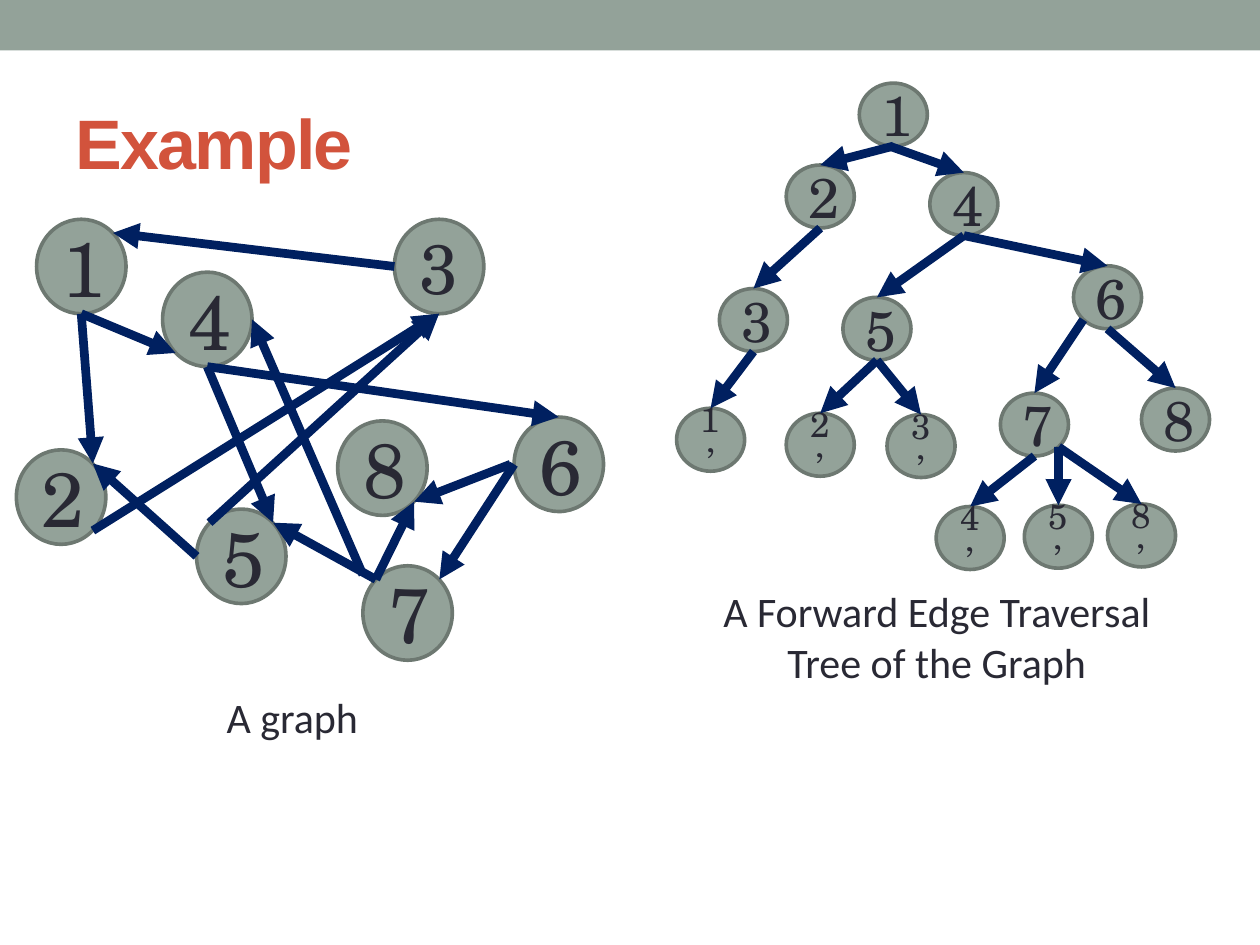
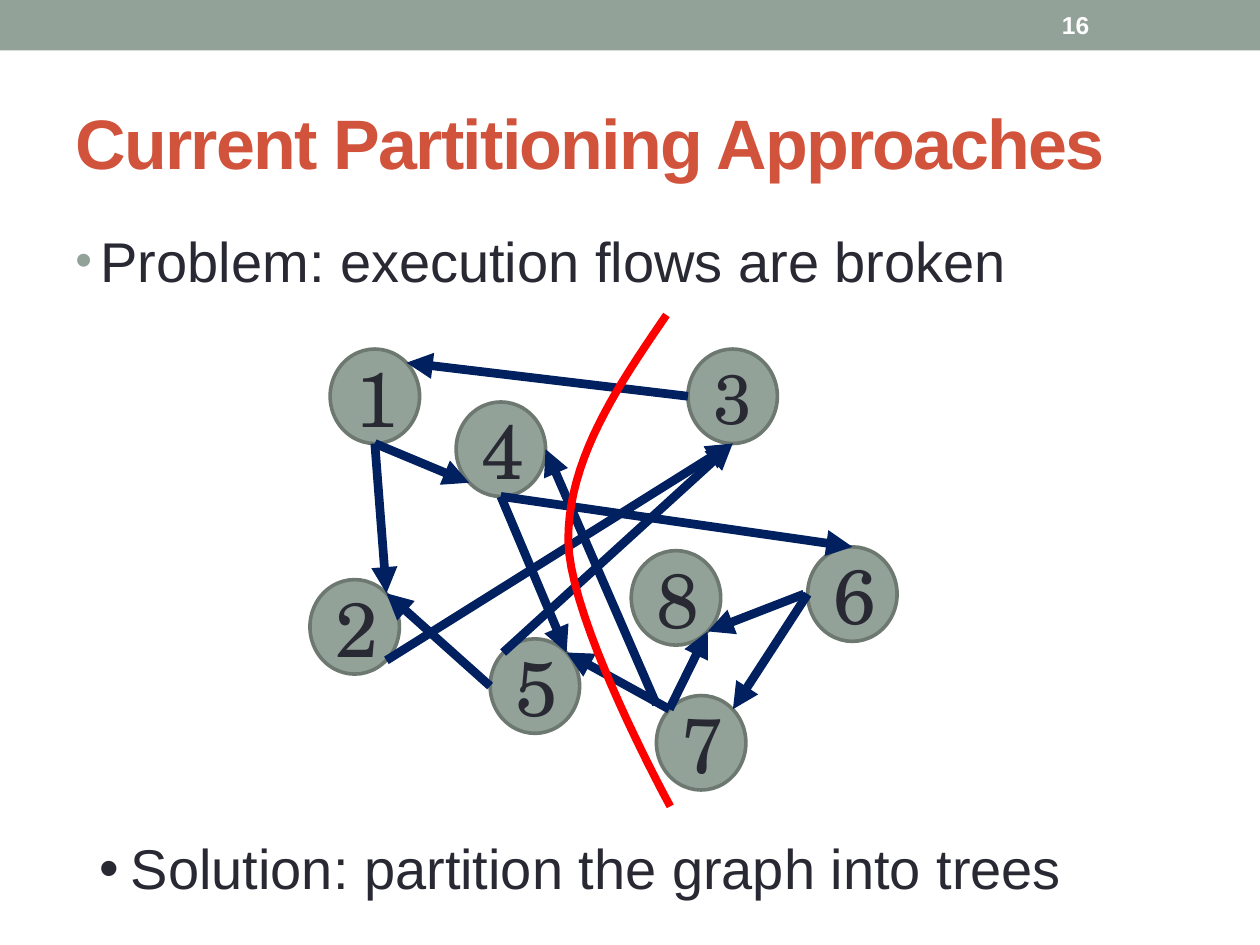
from math import comb

from lxml.etree import SubElement
from pptx import Presentation
from pptx.dml.color import RGBColor
from pptx.enum.shapes import MSO_CONNECTOR, MSO_SHAPE
from pptx.enum.text import MSO_ANCHOR, MSO_AUTO_SIZE, PP_ALIGN
from pptx.oxml.ns import qn
from pptx.util import Inches, Pt

SAGE, SAGE_DARK, INK = "93A299", "6D7871", "292934"
NAVY, RUST, RED, WHITE = "002060", "D2533C", "FF0000", "FFFFFF"
DIAGONAL = 0.71
SITES = {
    "top": (0, -1), "bottom": (0, 1), "left": (-1, 0), "right": (1, 0),
    "top left": (-DIAGONAL, -DIAGONAL), "top right": (DIAGONAL, -DIAGONAL),
    "bottom left": (-DIAGONAL, DIAGONAL), "bottom right": (DIAGONAL, DIAGONAL),
    "left outside": (-1.08, 0), "left upper": (-1, -0.81), "bottom inner": (-0.11, 1),
}


def paint(fill, colour):
    fill.solid()
    fill.fore_color.rgb = RGBColor.from_string(colour)


def draw_graph(shapes, nodes, edges, width, height, size, dx=0, dy=0):
    circles = {}
    for label, (left, top) in nodes.items():
        circle = shapes.add_shape(MSO_SHAPE.OVAL, Inches(left + dx), Inches(top + dy),
                                  Inches(width), Inches(height))
        circle.shadow.inherit = False
        paint(circle.fill, SAGE)
        paint(circle.line.fill, SAGE_DARK)
        circle.line.width = Pt(2.08)
        circle.text_frame.text = label
        circle.text_frame.vertical_anchor = MSO_ANCHOR.MIDDLE
        para = circle.text_frame.paragraphs[0]
        para.alignment = PP_ALIGN.CENTER
        para.font.name = "TeX Gyre Schola"
        para.font.size = Pt(20 if label.endswith("’") else size)
        paint(para.font.fill, INK)
        circles[label] = circle
    for start, start_site, end, end_site in edges:
        ends = []
        for label, site in ((start, start_site), (end, end_site)):
            left, top = nodes[label]
            across, down = SITES[site]
            ends += [Inches(left + dx + width / 2 * (1 + across)),
                     Inches(top + dy + height / 2 * (1 + down))]
        arrow = shapes.add_connector(MSO_CONNECTOR.STRAIGHT, *ends)
        paint(arrow.line.fill, NAVY)
        arrow.line.width = Pt(5)
        SubElement(arrow.line._get_or_add_ln(), qn("a:tailEnd"), type="triangle")
        SubElement(arrow._element.spPr, qn("a:effectLst"))
    return circles


deck = Presentation()
deck.slide_width, deck.slide_height = Inches(10), Inches(7.5)
pages = []
for heading in ("Example", "Current Partitioning Approaches"):
    page = deck.slides.add_slide(deck.slide_layouts[5])
    title = page.shapes.title
    title.left, title.top, title.width, title.height = map(Inches, (0.5, 0.58, 9, 1.08))
    title.text_frame.text = heading
    title.text_frame.auto_size = MSO_AUTO_SIZE.NONE
    title.text_frame.vertical_anchor = MSO_ANCHOR.MIDDLE
    para = title.text_frame.paragraphs[0]
    para.alignment = PP_ALIGN.LEFT
    para.font.name, para.font.size, para.font.bold = "Arial", Pt(40), True
    paint(para.font.fill, RUST)
    para.runs[0].font._element.set("spc", "-100")
    pages.append(page)
example, approaches = pages

band = example.shapes.add_shape(MSO_SHAPE.RECTANGLE, 0, 0, deck.slide_width, Inches(0.4))
band.shadow.inherit = False
paint(band.fill, SAGE)
band.line.fill.background()
deck.slide_master.shapes._spTree.insert(2, band._element)

graph_nodes = {
    "1": (0.29, 1.74), "3": (3.13, 1.74), "4": (1.29, 2.16), "2": (0.13, 3.57),
    "5": (1.56, 4.04), "8": (2.68, 3.34), "7": (2.88, 4.49), "6": (4.08, 3.31),
}
graph_edges = [
    ("1", "bottom", "4", "bottom left"),
    ("1", "bottom", "2", "top right"),
    ("2", "bottom right", "3", "bottom"),
    ("3", "left", "1", "top right"),
    ("4", "bottom", "5", "top right"),
    ("4", "bottom", "6", "top"),
    ("6", "left outside", "8", "bottom right"),
    ("6", "left", "7", "top right"),
    ("7", "top left", "8", "bottom right"),
    ("7", "left upper", "4", "right"),
    ("7", "top left", "5", "top right"),
    ("5", "left", "2", "top right"),
    ("5", "top left", "3", "bottom"),
]
tree_nodes = {
    "1": (6.82, 0.66), "3": (5.71, 2.29), "4": (7.38, 1.37), "2": (6.24, 1.31),
    "5": (6.69, 2.36), "8": (9.06, 3.08), "7": (7.94, 3.12), "6": (8.52, 2.11),
    "1’": (5.37, 3.24), "2’": (6.24, 3.28), "3’": (7.04, 3.29),
    "4’": (7.43, 4.02), "5’": (8.13, 4.01), "8’": (8.79, 4),
}
tree_edges = [
    ("1", "bottom inner", "4", "top"),
    ("1", "bottom", "2", "top"),
    ("2", "bottom", "3", "top"),
    ("3", "bottom", "1’", "top"),
    ("4", "bottom", "5", "top"),
    ("4", "bottom", "6", "top"),
    ("6", "bottom", "8", "top"),
    ("7", "bottom right", "8’", "top"),
    ("6", "bottom left", "7", "top"),
    ("7", "bottom", "4’", "top"),
    ("7", "bottom right", "5’", "top"),
    ("5", "bottom", "2’", "top"),
    ("5", "bottom", "3’", "top"),
]

for page, dx, dy in ((example, 0, 0), (approaches, 2.33, 1.03)):
    circles = draw_graph(page.shapes, graph_nodes, graph_edges, 0.71, 0.75, 44, dx, dy)
    circles["3"].text_frame.paragraphs[0].font.size = Pt(40)
tree = example.shapes.add_group_shape()
draw_graph(tree.shapes, tree_nodes, tree_edges, 0.54, 0.5, 32)

for caption, place in (
    ("A Forward Edge Traversal Tree of the Graph", (5.39, 4.6, 4.09, 0.91)),
    ("A graph", (1.25, 5.44, 2.14, 0.5)),
):
    box = example.shapes.add_textbox(*map(Inches, place))
    box.text_frame.word_wrap = True
    box.text_frame.auto_size = MSO_AUTO_SIZE.SHAPE_TO_FIT_TEXT
    box.text_frame.text = caption
    para = box.text_frame.paragraphs[0]
    para.alignment = PP_ALIGN.CENTER
    para.font.name, para.font.size = "Calibri", Pt(24)
    paint(para.font.fill, INK)

for point, place, indent, before, spacing, bullet_colour, bullet_size in (
    ("Problem: execution flows are broken", (0.5, 1.75, 9, 5.33), 0.2, 6.4, 1, SAGE, 85),
    ("Solution: partition the graph into trees", (0.69, 6.63, 8.62, 0.52), 0.25, 10, 0.9, INK, 100),
):
    box = approaches.shapes.add_textbox(*map(Inches, place))
    box.text_frame.word_wrap = True
    box.text_frame.text = point
    para = box.text_frame.paragraphs[0]
    para.space_before, para.line_spacing = Pt(before), spacing
    para.font.name, para.font.size = "Arial", Pt(32)
    paint(para.font.fill, INK)
    properties = para._p.get_or_add_pPr()
    properties.set("marL", str(Inches(indent)))
    properties.set("indent", str(-Inches(indent)))
    marks = [SubElement(properties, qn("a:buClr")),
             SubElement(properties, qn("a:buSzPct"), val=str(bullet_size * 1000)),
             SubElement(properties, qn("a:buFont"), typeface="Arial"),
             SubElement(properties, qn("a:buChar"), char="•")]
    SubElement(marks[0], qn("a:srgbClr"), val=bullet_colour)
    properties.extend(properties.findall(qn("a:defRPr")))

number = approaches.shapes.add_textbox(*map(Inches, (8.33, 0.02, 1.17, 0.36)))
number.text_frame.word_wrap = True
number.text_frame.vertical_anchor = MSO_ANCHOR.MIDDLE
number.text_frame.text = "16"
para = number.text_frame.paragraphs[0]
para.font.name, para.font.size, para.font.bold = "Arial", Pt(14), True
paint(para.font.fill, WHITE)

cut_curves = [
    [(5.29, 2.5), (4.9, 3.07), (4.51, 3.64), (4.51, 4.29)],
    [(4.51, 4.29), (4.52, 4.94), (5.32, 6.4), (5.32, 6.4)],
]
steps = 20
cut_points = []
for curve in cut_curves:
    for step in range(1, steps + 1):
        t = step / steps
        weights = [comb(3, k) * t ** k * (1 - t) ** (3 - k) for k in range(4)]
        cut_points.append(tuple(Inches(sum(w * p[axis] for w, p in zip(weights, curve)))
                                for axis in (0, 1)))
builder = approaches.shapes.build_freeform(*map(Inches, cut_curves[0][0]))
builder.add_line_segments(cut_points, close=False)
cut = builder.convert_to_shape()
cut.shadow.inherit = False
cut.fill.background()
paint(cut.line.fill, RED)
cut.line.width = Pt(4.5)

deck.save("out.pptx")
